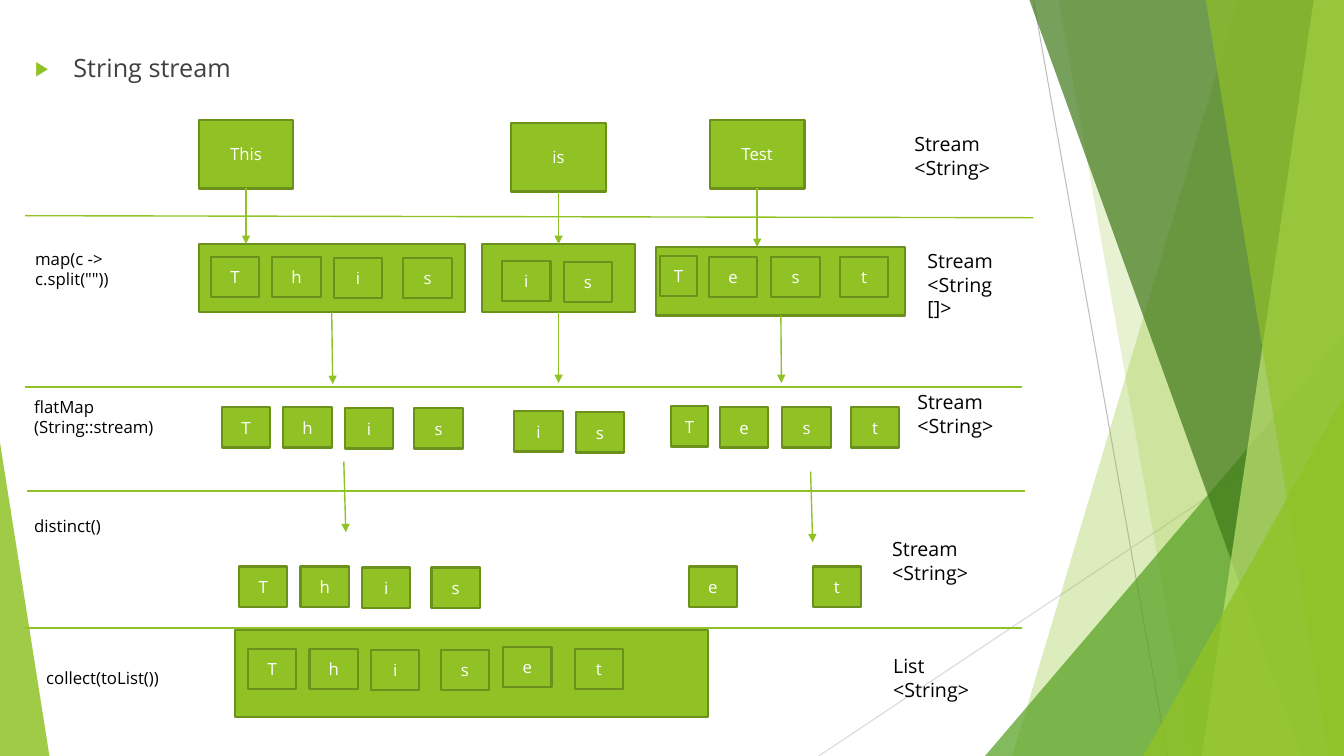
from dataclasses import dataclass

from lxml.etree import SubElement
from pptx import Presentation
from pptx.dml.color import RGBColor
from pptx.enum.shapes import MSO_CONNECTOR, MSO_SHAPE
from pptx.enum.text import MSO_ANCHOR, PP_ALIGN
from pptx.oxml.ns import qn
from pptx.util import Pt

PX = 9144  # one px is a hundredth of an inch
WIDE, HIGH = 1333, 750


@dataclass(frozen=True)
class Theme:
    font: str = "Open Sans"
    lime: str = "90C226"
    edge: str = "6B901C"
    leaf: str = "54A021"
    moss: str = "3F7819"
    pale: str = "C0E474"
    grey: str = "BFBFBF"
    mist: str = "D9D9D9"
    head: str = "404040"
    ink: str = "000000"
    white: str = "FFFFFF"
    title: int = 18
    kind: int = 14
    small: int = 12


T = Theme()

# Facets, back to front: outline, colour, opacity in percent
BANDS = (
    (((1228, 0), (WIDE, 0), (WIDE, HIGH), (1004, HIGH)), T.lime, 30),
    (((1050, 0), (WIDE, 0), (WIDE, HIGH), (1183, HIGH)), T.lime, 20),
    ((977, 333, 356, 417, 1), T.leaf, 72),
    (((1021, 0), (WIDE, 0), (WIDE, HIGH), (1291, HIGH)), T.moss, 70),
    (((1303, 0), (WIDE, 0), (WIDE, HIGH), (1192, HIGH)), T.pale, 70),
    (((1196, 0), (WIDE, 0), (WIDE, HIGH), (1318, HIGH)), T.lime, 65),
    ((1134, 393, 199, 357, 1), T.lime, 80),
    ((0, 439, 49, 311, 0), T.lime, 85),
)

# Tiles of each word: x and y from its first tile, and width
TILES = {
    "This": ((0, 0, 48), (61, 0, 48), (122, 1, 48), (191, 1, 48)),
    "is": ((0, 0, 48), (61, 1, 48)),
    "Test": ((0, 0, 36), (48, 1, 48), (110, 1, 48), (178, 1, 48)),
    "e": ((0, 0, 48),),
    "t": ((0, 0, 48),),
}

# Word, word box, array box, first split tile, first flat tile, arrow end
WORDS = (
    ("This", (197, 119), (197, 242, 264), (209, 255), (220, 404), (330, 381)),
    ("is", (507, 122), (478, 242, 152), (498, 259), (510, 408), (554, 380)),
    ("Test", (704, 119), (651, 245, 247), (655, 254), (666, 403), (775, 380)),
)
UNIQUE = (("This", 237, 562), ("e", 683, 562), ("t", 806, 562))
LISTED = (("This", 246, 644), ("e", 499, 642), ("t", 570, 644))

RULES = ((25, 214, 1025, 216), (25, 384, 1014, 384),
         (27, 487, 1017, 487), (25, 623, 1014, 623))
STEPS = (
    (25, 242, 'map(c -> c.split(""))'),
    (24, 389, "flatMap\n(String::stream)"),
    (24, 507, "distinct()"),
    (36, 658, "collect(toList())"),
)
KINDS = (
    (897, 126, "Stream <String>"),
    (910, 242, "Stream <String []>"),
    (900, 382, "Stream <String>"),
    (875, 528, "Stream\n<String>"),
    (876, 644, "List\n<String>"),
)


def assign(item, **vals):
    for name, val in vals.items():
        setattr(item, name, val)


def px(*nums):
    return [num * PX for num in nums]


def tint(part, tone, glass=None):
    part.solid()
    part.fore_color.rgb = RGBColor.from_string(tone)
    if glass is not None:
        color = part._xPr.find(".//" + qn("a:srgbClr"))
        SubElement(color, qn("a:alpha"), val=str(glass * 1000))


def write(frame, text, size, tone, **form):
    frame.text = text
    for para in frame.paragraphs:
        assign(para, **form)
        for run in para.runs:
            assign(run.font, name=T.font, size=Pt(size))
            run.font.color.rgb = RGBColor.from_string(tone)


def facet(shapes, form, tone, glass):
    if len(form) == 5:
        shape = shapes.add_shape(MSO_SHAPE.ISOSCELES_TRIANGLE, *px(*form[:4]))
        shape.adjustments[0] = form[4]
    else:
        pen = shapes.build_freeform(*form[0], scale=PX)
        pen.add_line_segments(form[1:], close=True)
        shape = pen.convert_to_shape()
    shape.shadow.inherit = False
    tint(shape.fill, tone, glass)
    shape.line.fill.background()


def box(shapes, x, y, wide, high, text=""):
    shape = shapes.add_shape(MSO_SHAPE.RECTANGLE, *px(x, y, wide, high))
    shape.shadow.inherit = False
    tint(shape.fill, T.lime)
    tint(shape.line.fill, T.edge)
    shape.line.width = Pt(1.5)
    if text:
        shape.text_frame.vertical_anchor = MSO_ANCHOR.MIDDLE
        write(shape.text_frame, text, T.small, T.white, alignment=PP_ALIGN.CENTER)
    return shape


def tiles(shapes, word, x, y):
    for sign, (right, down, wide) in zip(word, TILES[word]):
        box(shapes, x + right, y + down, wide, 40, sign)


def line(shapes, ends, tone=T.lime, width=1, tip=False):
    link = shapes.add_connector(MSO_CONNECTOR.STRAIGHT, *px(*ends))
    tint(link.line.fill, tone)
    link.line.width = Pt(width)
    if tip:
        SubElement(link.line._get_or_add_ln(), qn("a:tailEnd"), type="triangle")
    SubElement(link._element.spPr, qn("a:effectLst"))
    return link


def label(shapes, place, text, size, tone=T.ink, **form):
    frame = shapes.add_textbox(*px(*place)).text_frame
    frame.word_wrap = True
    write(frame, text, size, tone, **form)
    return frame


def title(shapes):
    frame = label(shapes, (25, 47, 990, 50), "String stream", T.title, T.head,
                  space_before=Pt(10))
    props = frame.paragraphs[0]._p.get_or_add_pPr()
    props.set("marL", str(38 * PX))
    props.set("indent", str(-38 * PX))
    color = SubElement(props, qn("a:buClr"))
    SubElement(color, qn("a:srgbClr"), val=T.lime)
    SubElement(props, qn("a:buSzPct"), val="80000")
    SubElement(props, qn("a:buFont"), typeface=T.font)
    SubElement(props, qn("a:buChar"), char="▶")


def flow(shapes, word, start, group, split, flat, end):
    source = box(shapes, *start, 94, 68, word)
    array = box(shapes, *group, 68, )
    tiles(shapes, word, *split)
    mid = start[0] + 47
    drop = line(shapes, (mid, start[1] + 68, mid, group[1]), tip=True)
    drop.begin_connect(source, 2)
    if mid == group[0] + group[2] // 2:
        drop.end_connect(array, 0)
    fall = line(shapes, (end[0], group[1] + 68, *end), tip=True)
    fall.begin_connect(array, 2)
    tiles(shapes, word, *flat)


def main():
    deck = Presentation()
    assign(deck, slide_width=WIDE * PX, slide_height=HIGH * PX)
    shapes = deck.slides.add_slide(deck.slide_layouts[6]).shapes

    # Backdrop
    line(shapes, (1025, 0, 1158, HIGH), T.grey, 0.75)
    line(shapes, (WIDE, 403, 812, HIGH), T.mist, 0.75)
    for band in BANDS:
        facet(shapes, *band)

    # Title, row rules and labels
    title(shapes)
    for ends in RULES:
        line(shapes, ends)
    for x, y, text in STEPS:
        label(shapes, (x, y, 162, 50), text, T.small)
    for x, y, text in KINDS:
        label(shapes, (x, y, 104, 57), text, T.kind)

    # Words split, then flattened
    for word in WORDS:
        flow(shapes, *word)

    # Distinct letters, then the list
    for ends in ((341, 458, 343, 528), (804, 468, 806, 538)):
        line(shapes, ends, tip=True)
    box(shapes, 233, 625, 469, 86)
    for letters in UNIQUE + LISTED:
        tiles(shapes, *letters)

    deck.save("out.pptx")


if __name__ == "__main__":
    main()
